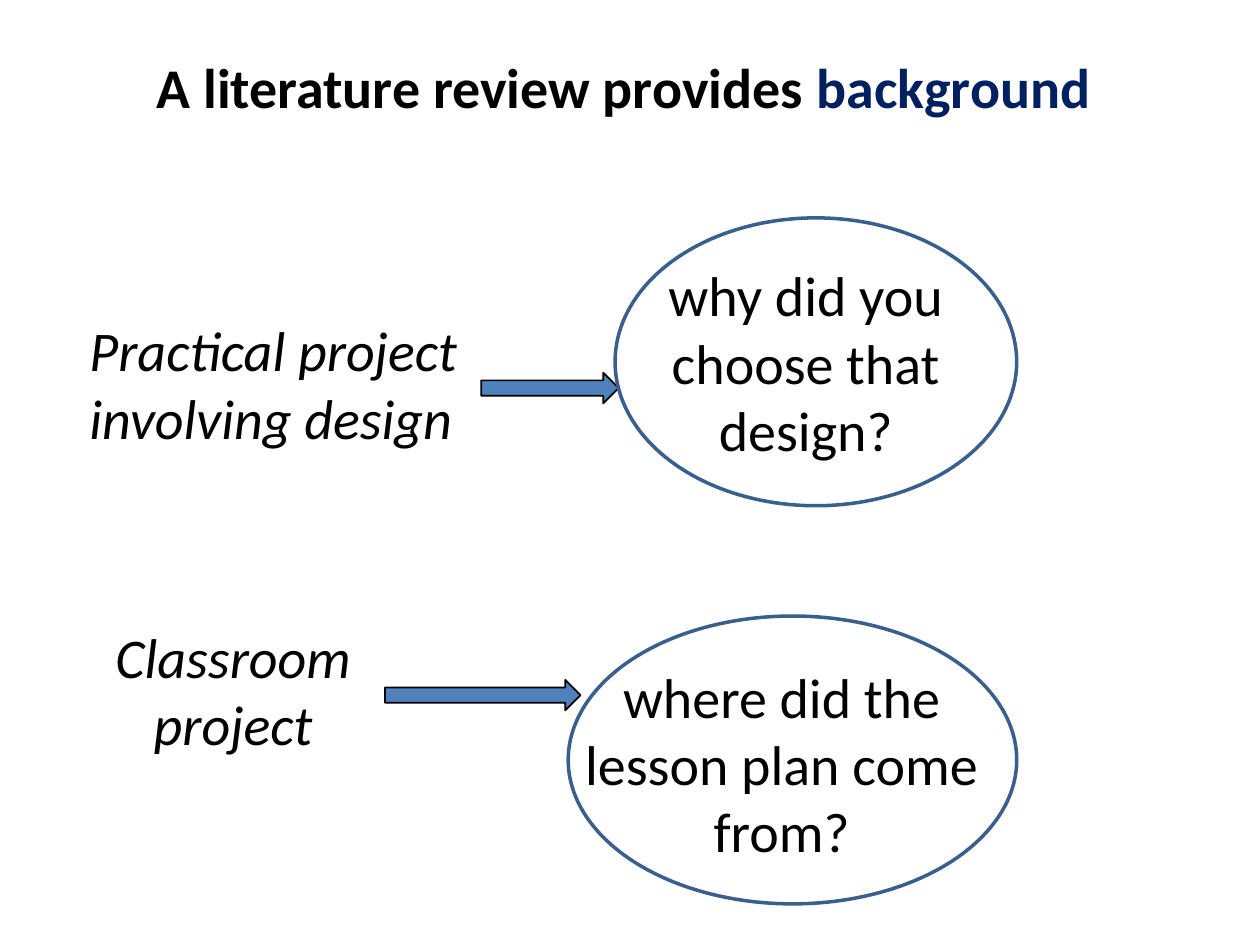
from typing import NamedTuple

from pptx import Presentation
from pptx.dml.color import RGBColor
from pptx.enum.shapes import MSO_SHAPE
from pptx.enum.text import MSO_ANCHOR, PP_ALIGN
from pptx.util import Pt

BLACK = RGBColor(0x00, 0x00, 0x00)
NAVY = RGBColor(0x00, 0x20, 0x60)
BLUE = RGBColor(0x4F, 0x81, 0xBD)
EDGE = RGBColor(0x3A, 0x5F, 0x8C)
FONT = "Calibri"
SIZE = 32


class Box(NamedTuple):
    """Left, top, width and height in points."""
    left: float
    top: float
    width: float
    height: float

    def place(self) -> list:
        return [Pt(side) for side in self]


class Row(NamedTuple):
    """A kind of project, and the question its review answers."""
    project: str
    label: Box
    align: PP_ALIGN
    arrow: Box
    oval: Box
    question: str
    answer: Box


ROWS = [
    Row("Practical project involving design", Box(44, 177, 245.5, 104.5),
        PP_ALIGN.LEFT, Box(275, 213, 78.5, 17.5), Box(351.5, 124.5, 229.5, 164.5),
        "why did you choose that design?", Box(352.8, 145.5, 215.3, 123.8)),
    Row("Classroom project", Box(20.2, 352, 226, 85),
        PP_ALIGN.CENTER, Box(220, 388.5, 111.8, 17.5), Box(324.7, 352, 256.3, 164.5),
        "where did the lesson plan come from?", Box(324.7, 375, 244, 123.8)),
]


def add_text(slide, box: Box, *parts: tuple[str, RGBColor],
             align=PP_ALIGN.CENTER, anchor=MSO_ANCHOR.TOP,
             bold=False, italic=False) -> None:
    """Add one paragraph made of (text, colour) parts."""
    frame = slide.shapes.add_textbox(*box.place()).text_frame
    frame.word_wrap = True
    frame.vertical_anchor = anchor
    para = frame.paragraphs[0]
    para.alignment = align
    for text, color in parts:
        run = para.add_run()
        run.text = text
        font = run.font
        font.name, font.size = FONT, Pt(SIZE)
        font.bold, font.italic = bold, italic
        font.color.rgb = color


def add_form(slide, kind: MSO_SHAPE, box: Box, line: RGBColor,
             width: float, fill: RGBColor | None = None) -> None:
    form = slide.shapes.add_shape(kind, *box.place())
    form.shadow.inherit = False
    form.line.color.rgb = line
    form.line.width = Pt(width)
    if fill is None:
        form.fill.background()
    else:
        form.fill.solid()
        form.fill.fore_color.rgb = fill


def main() -> None:
    deck = Presentation()
    deck.slide_width, deck.slide_height = Pt(720), Pt(540)
    slide = deck.slides.add_slide(deck.slide_layouts[6])

    add_text(slide, Box(42.5, 26, 628, 46.8),
             ("A literature review provides ", BLACK), ("background", NAVY),
             anchor=MSO_ANCHOR.MIDDLE, bold=True)
    for row in ROWS:
        add_text(slide, row.label, (row.project, BLACK),
                 align=row.align, italic=True)
        add_text(slide, row.answer, (row.question, BLACK))
        add_form(slide, MSO_SHAPE.RIGHT_ARROW, row.arrow, BLACK, 1, BLUE)
        add_form(slide, MSO_SHAPE.OVAL, row.oval, EDGE, 2)

    deck.save("out.pptx")


if __name__ == "__main__":
    main()
